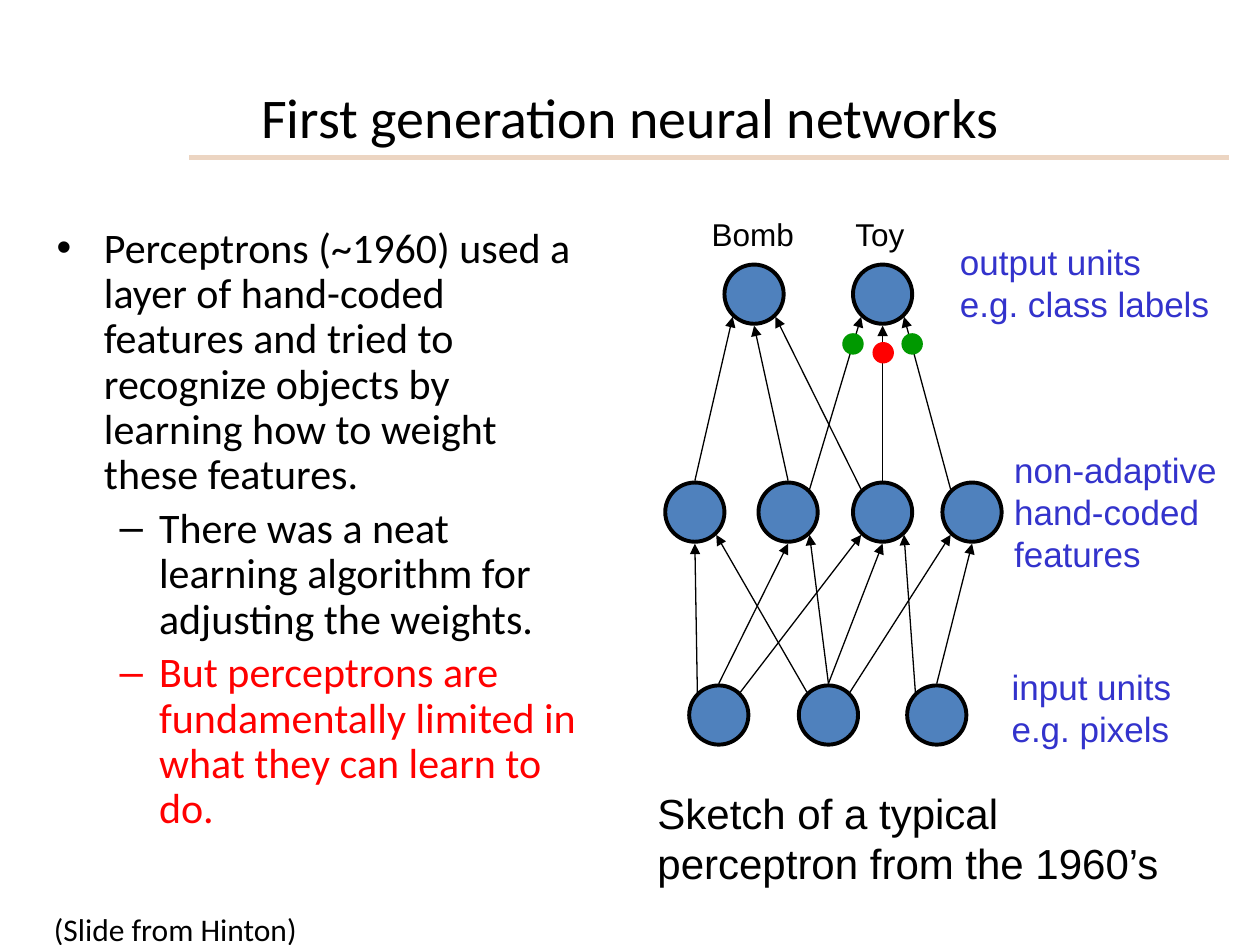
"""Build the slide on first generation neural networks."""
from pptx import Presentation
from pptx.dml.color import RGBColor
from pptx.enum.shapes import MSO_CONNECTOR as Conn, MSO_SHAPE as Form
from pptx.enum.text import MSO_ANCHOR as Anchor, MSO_AUTO_SIZE as Fit, PP_ALIGN as Align
from pptx.oxml.ns import qn
from pptx.util import Inches, Pt
from lxml.etree import SubElement

rgb = RGBColor.from_string


def write(frame, rows, size, face, space=None):
    for i, (text, tint, level) in enumerate(rows):
        para = frame.paragraphs[0] if i == 0 else frame.add_paragraph()
        para.text = text
        form = {"level": level, "line_spacing": space}
        if i == 0:
            form["space_before"] = Pt(0)
        for key, val in form.items():
            setattr(para, key, val)
        for run in para.runs:
            for key, val in {"size": Pt(size), "name": face}.items():
                setattr(run.font, key, val)
            run.font.color.rgb = rgb(tint)


def draw(start, end, tint, width, head=False):
    line = slide.shapes.add_connector(Conn.STRAIGHT, *map(Inches, start + end))
    line.line.color.rgb = rgb(tint)
    line.line.width = Pt(width)
    prop = line._element.spPr
    if head:
        SubElement(prop.find(qn("a:ln")), qn("a:tailEnd"), type="triangle")
    SubElement(prop, qn("a:effectLst"))


deck = Presentation()
deck.slide_width, deck.slide_height = Inches(10), Inches(7.5)
slide = deck.slides.add_slide(deck.slide_layouts[1])
title, body = slide.placeholders

draw((1.5, 1.25), (9.75, 1.25), "ECD5C2", 3)

for holder, box in ((title, (0.5, 0.3, 9, 1.25)), (body, (0.35, 1.75, 4.42, 4.95))):
    for key, val in zip(("left", "top", "width", "height"), box):
        setattr(holder, key, Inches(val))
    holder.text_frame.auto_size = Fit.NONE
title.text_frame.vertical_anchor = Anchor.MIDDLE
write(title.text_frame, [("First generation neural networks", "000000", 0)], 32, "Calibri")
title.text_frame.paragraphs[0].alignment = Align.CENTER
write(body.text_frame, [
    ("Perceptrons (~1960) used a layer of hand-coded features and tried to "
     "recognize objects by learning how to weight these features.", "000000", 0),
    ("There was a neat learning algorithm for adjusting the weights.", "000000", 1),
    ("But perceptrons are fundamentally limited in what they can learn to do.", "FF0000", 1),
], 24, "Calibri", 0.9)

layers = {
    "out": (2.335, (5.985, 7.005)),
    "mid": (4.065, (5.515, 6.255, 7.005, 7.715)),
    "in": (5.675, (5.705, 6.575, 7.435)),
}
dots = [(x, y, 0.47, "4F81BD", "000000", 2.25) for y, row in layers.values() for x in row]
weights = [(7.24, 2.73, "009900"), (6.77, 2.73, "009900"), (7.01, 2.8, "FF0000")]
marks = [(x, y, 0.16, tint, tint, 0.75) for x, y, tint in weights]

# Each edge: source unit, its side, target unit, its side (-1 left, 0 middle, 1 right)
edges = {
    ("in", "mid"): [(0, -1, 0, 0), (0, 0, 1, 0), (0, 1, 2, -1),
                    (1, -1, 0, 1), (1, 0, 1, 1), (1, 0, 2, 0), (1, 1, 3, -1),
                    (2, -1, 2, 1), (2, 0, 3, 0)],
    ("mid", "out"): [(0, 0, 0, -1), (1, 0, 0, 0), (1, 1, 1, -1),
                     (2, -1, 0, 1), (2, 0, 1, 0), (3, -1, 1, 1)],
}
for (low, high), links in edges.items():
    (base, feet), (peak, tops) = layers[low], layers[high]
    for a, side, b, turn in links:
        start = (feet[a] + 0.17 * side, base - (0.18 if side else 0.25))
        end = (tops[b] + 0.17 * turn, peak + (0.18 if turn else 0.25))
        draw(start, end, "000000", 0.75, True)

for x, y, size, fill, edge, width in dots + marks:
    dot = slide.shapes.add_shape(
        Form.OVAL, *map(Inches, (x - size / 2, y - size / 2, size, size)))
    dot.shadow.inherit = False
    dot.fill.solid()
    dot.fill.fore_color.rgb = rgb(fill)
    dot.line.color.rgb = rgb(edge)
    dot.line.width = Pt(width)

labels = [
    ((7.95, 3.51, 1.81, 1.1), ["non-adaptive", "hand-coded", "features"], 20, "Arial", "3333CC", False),
    ((7.52, 1.86, 2.2, 0.77), ["output units\ve.g. class labels"], 20, "Arial", "3333CC", True),
    ((7.93, 5.23, 1.75, 0.77), ["input units\ve.g. pixels"], 20, "Arial", "3333CC", True),
    ((5.12, 6.2, 4.37, 0.9), ["Sketch of a typical perceptron from the 1960’s"], 24, "Arial", "000000", True),
    ((5.55, 1.66, 0.86, 0.4), ["Bomb"], 18, "Arial", "000000", True),
    ((6.69, 1.66, 0.71, 0.4), ["Toy"], 18, "Arial", "000000", True),
    ((0.33, 7.17, 2.15, 0.4), ["(Slide from Hinton)"], 18, "Calibri", "000000", False),
]
for box, rows, size, face, tint, wrap in labels:
    frame = slide.shapes.add_textbox(*map(Inches, box)).text_frame
    for key, val in {"word_wrap": wrap, "auto_size": Fit.SHAPE_TO_FIT_TEXT}.items():
        setattr(frame, key, val)
    write(frame, [(row, tint, 0) for row in rows], size, face)

deck.save("out.pptx")
